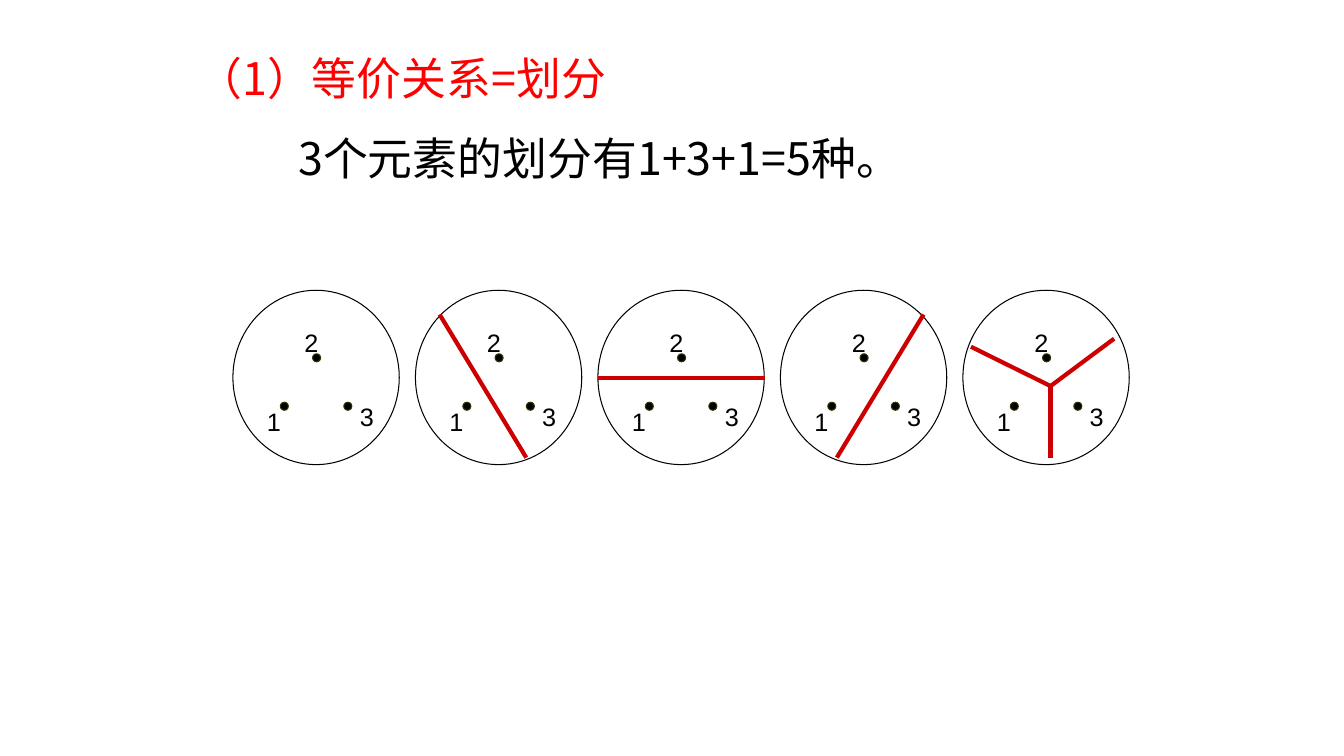
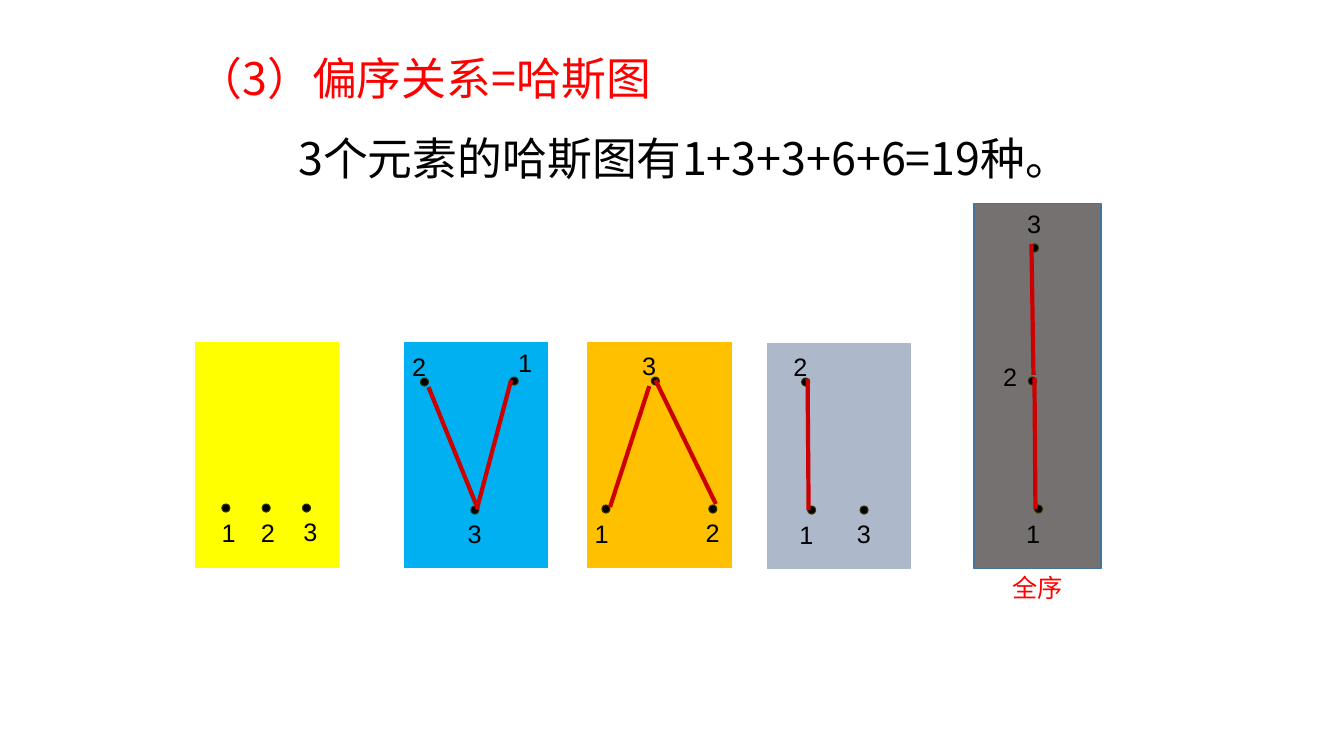
import pptx
import pptx.dml.color
import pptx.enum.shapes
import pptx.enum.text
import pptx.util
from lxml import etree
from pptx.oxml.ns import qn

Inches = pptx.util.Inches
Pt = pptx.util.Pt
RGBColor = pptx.dml.color.RGBColor
Shape = pptx.enum.shapes.MSO_SHAPE

BLACK = RGBColor(0x00, 0x00, 0x00)
WHITE = RGBColor(0xFF, 0xFF, 0xFF)
RED = RGBColor(0xFF, 0x00, 0x00)
DARK_RED = RGBColor(0xCC, 0x00, 0x00)
OLIVE = RGBColor(0x33, 0x33, 0x00)
YELLOW = RGBColor(0xFF, 0xFF, 0x00)
BLUE = RGBColor(0x00, 0xB0, 0xF0)
AMBER = RGBColor(0xFF, 0xC0, 0x00)
GREY_BLUE = RGBColor(0xAD, 0xB9, 0xCA)
GREY = RGBColor(0x76, 0x71, 0x71)
STEEL = RGBColor(0x43, 0x73, 0x9E)

CHINESE = "Noto Sans CJK SC"
TITLE = {"name": CHINESE, "size": Pt(32)}
LABEL = {"name": "Arial", "size": Pt(18)}
CAPTION = {"name": CHINESE, "size": Pt(18)}
FRAME = {"word_wrap": False,
         "auto_size": pptx.enum.text.MSO_AUTO_SIZE.SHAPE_TO_FIT_TEXT}
TITLE_FRAME = {"word_wrap": True,
               "vertical_anchor": pptx.enum.text.MSO_ANCHOR.MIDDLE}

# Slide 1: one circle per partition, dots and labels measured from its corner
CIRCLE_LEFT, CIRCLE_TOP, CIRCLE_STEP = 2.31, 2.88, 1.81
CIRCLE_WIDTH, CIRCLE_HEIGHT = 1.65, 1.73
ELEMENTS = [("2", 0.79, 0.63, 0.61, 0.32),
            ("1", 0.47, 1.11, 0.24, 1.10),
            ("3", 1.10, 1.11, 1.16, 1.05)]
CUTS = [
    [],
    [(4.36, 3.12, 5.22, 4.54)],
    [(5.93, 3.75, 7.59, 3.75)],
    [(9.16, 3.12, 8.30, 4.54)],
    [(10.42, 3.83, x, y) for x, y in ((11.05, 3.36), (9.63, 3.44), (10.42, 4.54))],
]

# Slide 2: panel box, fill, line, elements (digit, dot, label) and edges
PANELS = [
    ((1.94, 3.40, 1.42, 2.23), YELLOW, YELLOW,
     [("1", 2.20, 5.00, 2.10, 5.08), ("2", 2.60, 5.00, 2.49, 5.08),
      ("3", 3.00, 5.00, 2.91, 5.07)],
     []),
    ((4.01, 3.40, 1.42, 2.23), BLUE, BLUE,
     [("2", 4.17, 3.75, 3.99, 3.44), ("1", 5.06, 3.74, 5.04, 3.40),
      ("3", 4.67, 5.02, 4.54, 5.09)],
     [(4.25, 3.84, 4.74, 5.05), (5.07, 3.77, 4.73, 5.05)]),
    ((5.83, 3.40, 1.42, 2.23), AMBER, AMBER,
     [("3", 6.46, 3.74, 6.27, 3.43), ("1", 5.97, 5.01, 5.80, 5.09),
      ("2", 7.03, 5.01, 6.90, 5.08)],
     [(6.44, 3.83, 6.05, 5.03), (6.50, 3.77, 7.10, 5.00)]),
    ((7.61, 3.41, 1.42, 2.23), GREY_BLUE, GREY_BLUE,
     [("2", 7.95, 3.75, 7.77, 3.44), ("1", 8.01, 5.02, 7.83, 5.10),
      ("3", 8.53, 5.02, 8.40, 5.09)],
     [(8.01, 3.76, 8.02, 5.06)]),
    ((9.66, 2.02, 1.26, 3.62), GREY, STEEL,
     [("3", 10.22, 2.42, 10.09, 2.02), ("2", 10.20, 3.74, 9.85, 3.54),
      ("1", 10.26, 5.01, 10.08, 5.09)],
     [(10.23, 2.42, 10.25, 3.72), (10.26, 3.75, 10.27, 5.05)]),
]


def set_values(target, values):
    for name, value in values.items():
        setattr(target, name, value)


class Board:
    """Holds the deck, the current slide and the shared drawing style."""

    def __init__(self):
        self.deck = pptx.Presentation()
        self.deck.slide_width = Inches(13.33)
        self.deck.slide_height = Inches(7.5)
        self.page = None
        self.target = None

    def new_page(self, heading, statement, width):
        self.page = self.deck.slides.add_slide(self.deck.slide_layouts[6])
        self.target = self.page.shapes
        self.title(heading, statement, width)

    def group(self):
        self.target = self.page.shapes.add_group_shape().shapes

    def ungroup(self):
        self.target = self.page.shapes

    def add_text(self, para, text, style, color):
        span = para.add_run()
        span.text = text
        set_values(span.font, style)
        span.font.color.rgb = color
        east_asian = etree.SubElement(span.font._element, qn("a:ea"))
        east_asian.set("typeface", style["name"])

    def title(self, heading, statement, width):
        box = self.target.add_textbox(Inches(1.86), Inches(-0.03), Inches(width), Inches(2.13))
        set_values(box.text_frame, TITLE_FRAME)
        first = box.text_frame.paragraphs[0]
        second = box.text_frame.add_paragraph()
        second._p.get_or_add_pPr().set("marL", str(Inches(1)))
        for para, text, color in ((first, heading, RED), (second, statement, BLACK)):
            para.line_spacing = 1.5
            self.add_text(para, text, TITLE, color)

    def shape(self, kind, place, fill, line, weight):
        shape = self.target.add_shape(kind, *map(Inches, place))
        shape.shadow.inherit = False
        shape.fill.solid()
        shape.fill.fore_color.rgb = fill
        shape.line.color.rgb = line
        shape.line.width = Pt(weight)

    def label(self, text, left, top, width=0.34, style=LABEL, color=BLACK):
        box = self.target.add_textbox(Inches(left), Inches(top), Inches(width), Inches(0.4))
        set_values(box.text_frame, FRAME)
        self.add_text(box.text_frame.paragraphs[0], text, style, color)

    def element(self, digit, dot_x, dot_y, label_x, label_y):
        self.shape(Shape.OVAL, (dot_x, dot_y, 0.08, 0.08), BLACK, OLIVE, 0.75)
        self.label(digit, label_x, label_y)

    def edge(self, *ends):
        straight = pptx.enum.shapes.MSO_CONNECTOR.STRAIGHT
        line = self.target.add_connector(straight, *map(Inches, ends))
        line.line.color.rgb = DARK_RED
        line.line.width = Pt(3)
        etree.SubElement(line._element.spPr, qn("a:effectLst"))


def main():
    board = Board()

    # Partitions
    board.new_page("（1）等价关系=划分", "3个元素的划分有1+3+1=5种。", 9)
    for index, cuts in enumerate(CUTS):
        left = CIRCLE_LEFT + index * CIRCLE_STEP
        board.group()
        board.shape(Shape.OVAL, (left, CIRCLE_TOP, CIRCLE_WIDTH, CIRCLE_HEIGHT),
                    WHITE, BLACK, 0.75)
        for digit, dot_x, dot_y, label_x, label_y in ELEMENTS:
            board.element(digit, left + dot_x, CIRCLE_TOP + dot_y,
                          left + label_x, CIRCLE_TOP + label_y)
        board.ungroup()
        for cut in cuts:
            board.edge(*cut)

    # Hasse diagrams
    board.new_page("（3）偏序关系=哈斯图", "3个元素的哈斯图有1+3+3+6+6=19种。", 9.45)
    for place, fill, line, elements, edges in PANELS:
        board.shape(Shape.RECTANGLE, place, fill, line, 1)
        for element in elements:
            board.element(*element)
        for edge in edges:
            board.edge(*edge)
    board.label("全序", 9.94, 5.63, 0.71, CAPTION, RED)

    board.deck.save("out.pptx")


if __name__ == "__main__":
    main()
